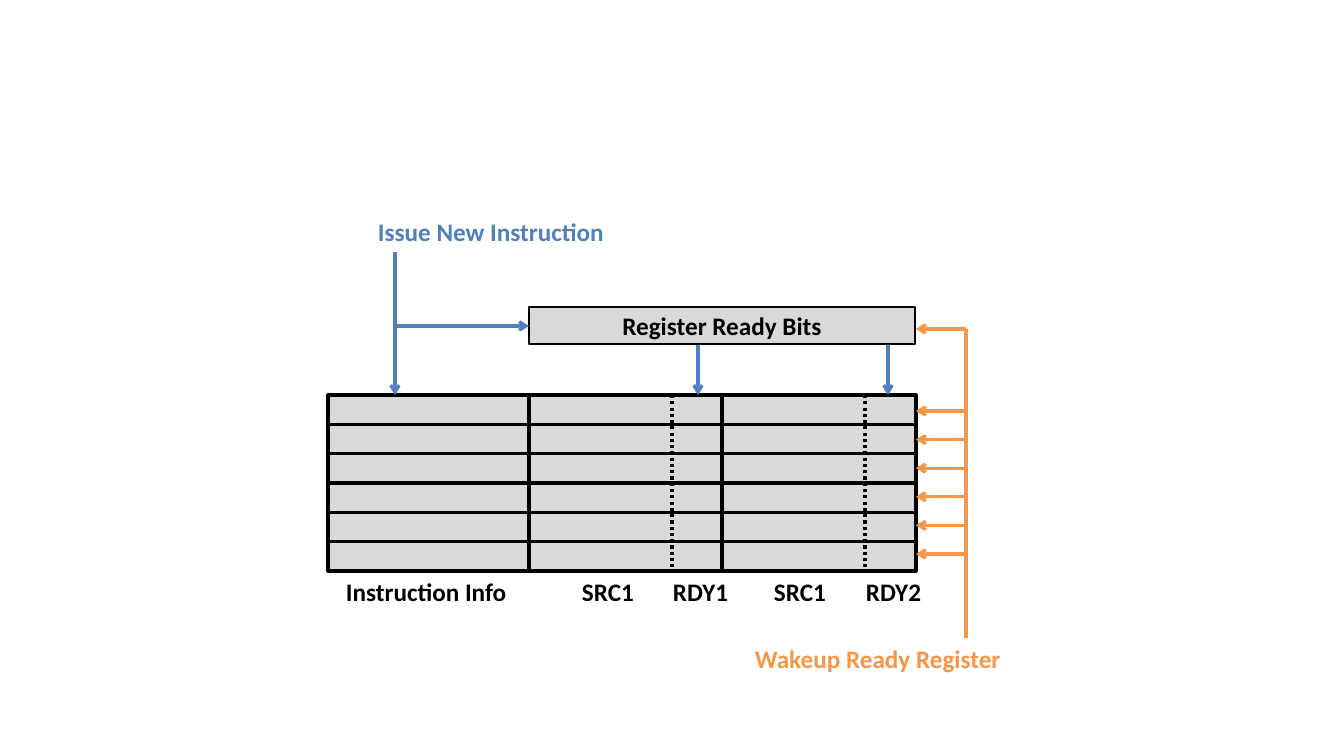
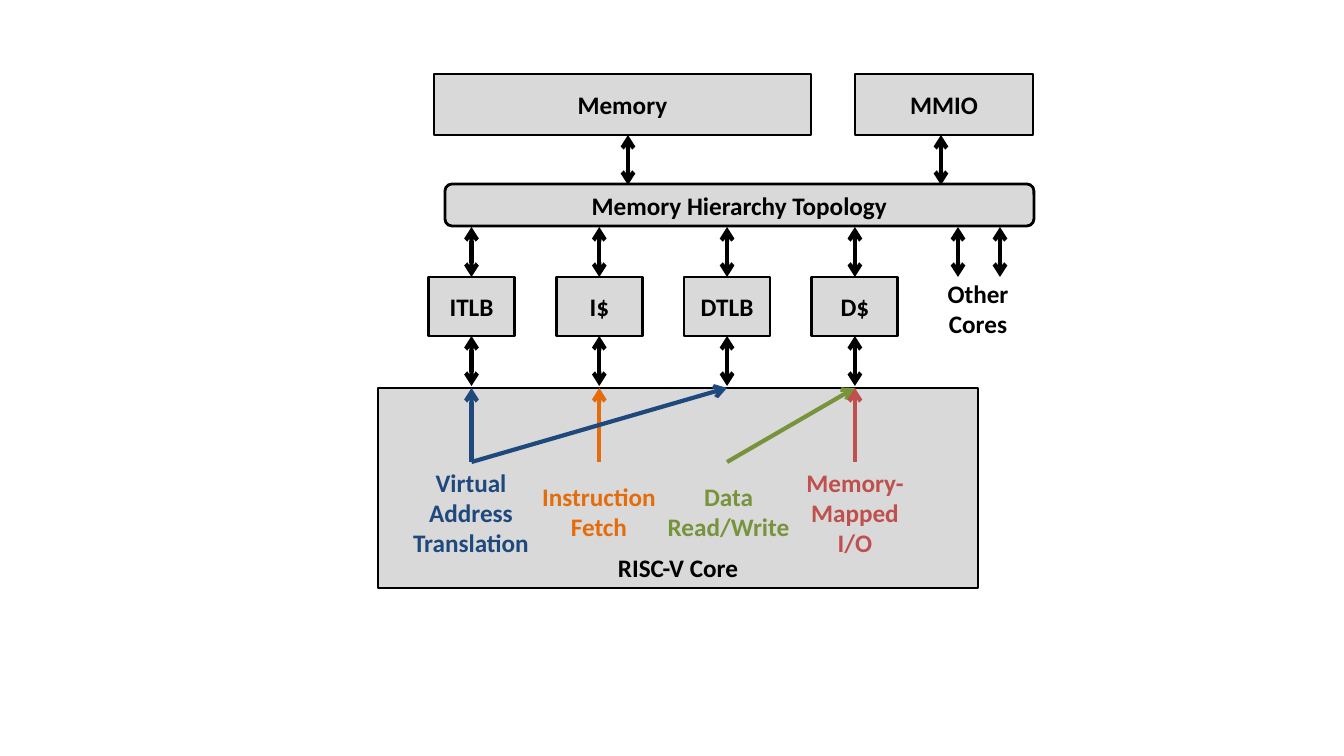
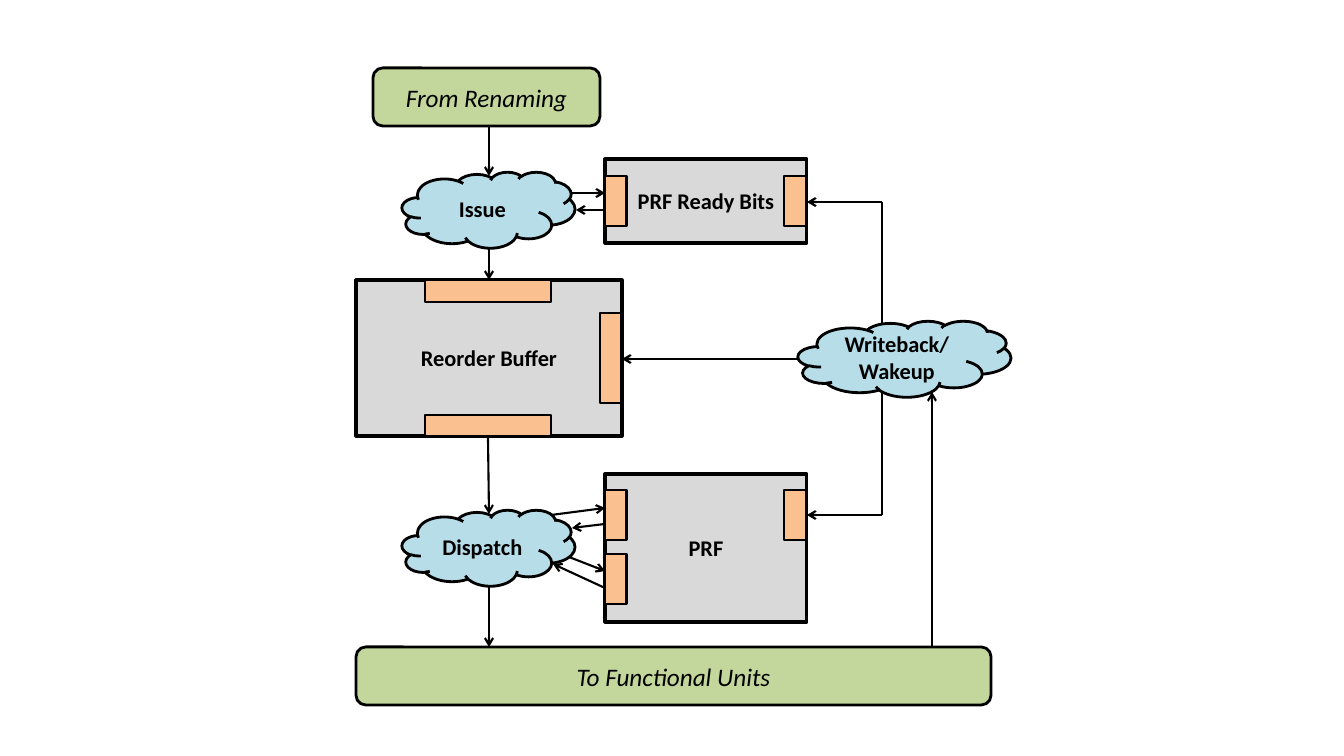
from pptx import Presentation
from pptx.dml.color import RGBColor
from pptx.enum.dml import MSO_LINE
from pptx.enum.shapes import MSO_CONNECTOR, MSO_SHAPE
from pptx.enum.text import MSO_ANCHOR, MSO_AUTO_SIZE, PP_ALIGN
from pptx.oxml.ns import qn
from pptx.util import Pt
from lxml import etree

RECTANGLE, ROUNDED, CLOUD = MSO_SHAPE.RECTANGLE, MSO_SHAPE.ROUNDED_RECTANGLE, MSO_SHAPE.CLOUD
STRAIGHT, DOTTED = MSO_CONNECTOR.STRAIGHT, MSO_LINE.ROUND_DOT
MIDDLE, BOTTOM = MSO_ANCHOR.MIDDLE, MSO_ANCHOR.BOTTOM
LEFT, CENTER = PP_ALIGN.LEFT, PP_ALIGN.CENTER
FIT_SHAPE = MSO_AUTO_SIZE.SHAPE_TO_FIT_TEXT

PIXEL = 914400 / 100.8
SLIDE_SIZE = (1344, 756)
FONT = "Calibri"
BLACK, GRAY, BLUE, ORANGE = "000000", "D9D9D9", "4F81BD", "F79646"
NAVY, RUST, OLIVE, RED = "1F497D", "E46C0A", "77933C", "C0504D"
PEACH, SKY, GREEN = "FAC090", "B7DEE8", "C3D69B"

# Issue window
WINDOW = (328, 395, 588, 176)
WINDOW_ROWS = 6
FIELD_BORDERS = [(529, None), (722, None), (865, DOTTED), (672, DOTTED)]
READY_BITS = (529, 307, 386, 37)
ISSUE_ARROWS = [
    (395, 252, 395, 395), (394, 326, 529, 326),
    (698, 345, 698, 395), (888, 345, 888, 395),
]
WAKEUP_X, WAKEUP_TIP = 966, 916
WAKEUP_TOP, WAKEUP_BOTTOM = 329, 638
WAKEUP_FIRST_ROW, WAKEUP_STEP = 411, 28.6
WINDOW_LABELS = [
    ("Instruction Info", (336, 571, 182, 40), BLACK),
    ("SRC1", (572, 571, 73, 40), BLACK),
    ("SRC1", (764, 571, 73, 40), BLACK),
    ("RDY1", (663, 571, 77, 40), BLACK),
    ("RDY2", (856, 571, 77, 40), BLACK),
    ("Wakeup Ready Register", (745, 638, 268, 40), ORANGE),
    ("Issue New Instruction", (368, 211, 248, 40), BLUE),
]

# Memory hierarchy
CORE = (378, 388, 600, 200)
CACHES = ["ITLB", "I$", "DTLB", "D$"]
CACHE_X, CACHE_STEP = 471.5, 127.8
CACHE_TOP, CACHE_WIDTH, CACHE_HEIGHT = 277, 86, 59
LINK_LENGTH = 50
MEMORY_BOXES = [
    ("Memory", RECTANGLE, (434, 74, 377, 61)),
    ("Memory Hierarchy Topology", ROUNDED, (445, 184, 589, 42)),
    ("MMIO", RECTANGLE, (855, 74, 178, 61)),
]
MEMORY_LINKS = [(628, 185), (941, 185), (958, 277), (1000, 277)]
MEMORY_LABELS = [
    ("Other Cores", (932, 273, 92, 72), BLACK),
    ("Virtual Address Translation", (401, 462, 140, 102), NAVY),
    ("Instruction Fetch", (529, 476, 140, 72), RUST),
    ("Data Read/Write", (654, 476, 149, 72), OLIVE),
    ("Memory-Mapped I/O", (785, 462, 140, 102), RED),
]
USE_TOP, USE_BOTTOM = 388, 462
USES = [(0, 0, NAVY), (1, 1, RUST), (2, 3, OLIVE), (3, 3, RED), (0, 2, NAVY)]

# Out-of-order pipeline
BUFFERS = [
    ("Reorder Buffer", (356, 280, 266, 156)),
    ("PRF Ready Bits", (605, 159, 202, 84)),
    ("PRF", (605, 474, 202, 148)),
]
PORTS = [
    (425, 280, 126, 22), (425, 415, 126, 22), (600, 313, 22, 90),
    (605, 176, 22, 50), (784, 176, 22, 50),
    (605, 490, 22, 50), (784, 490, 22, 50), (605, 554, 22, 50),
]
STAGES = [
    ("Issue", (402, 172, 173, 76)),
    ("Dispatch", (402, 510, 173, 76)),
    ("Writeback/Wakeup", (798, 321, 213, 76)),
]
ENDS = [
    ("To Functional Units", (356, 647, 635, 58)),
    ("From Renaming", (373, 68, 227, 58)),
]
PIPELINE_ARROWS = [
    (489, 126, 489, 176), (489, 248, 489, 280),
    (572, 193, 605, 193), (605, 210, 576, 210),
    (488, 436, 489, 514), (551, 515, 605, 508),
    (605, 524, 572, 528), (569, 557, 605, 571),
    (605, 588, 553, 564), (489, 586, 489, 647),
    (932, 647, 932, 392), (882, 515, 807, 515),
    (799, 359, 622, 359), (882, 202, 807, 202),
]
WRITEBACK_LINES = [(882, 392, 882, 515), (882, 202, 882, 325)]


def scaled(pixels):
    """Turn pixel lengths into EMU."""
    return [round(length * PIXEL) for length in pixels]


def rgb(color):
    """Turn a hex string into a colour."""
    return RGBColor.from_string(color)


def write(shape, text, color=BLACK, size=18, bold=True, italic=False, align=CENTER):
    """Set and format the text of a shape."""
    shape.text_frame.text = text
    paragraph = shape.text_frame.paragraphs[0]
    paragraph.alignment = align
    font = paragraph.runs[0].font
    font.name, font.size = FONT, Pt(size)
    font.bold, font.italic = bold, italic
    font.color.rgb = rgb(color)


def add_box(slide, box, fill=GRAY, kind=RECTANGLE, weight=2, text="",
            anchor=MIDDLE, **style):
    """Add an outlined shape, with text if there is any."""
    shape = slide.shapes.add_shape(kind, *scaled(box))
    shape.shadow.inherit = False
    shape.fill.solid()
    shape.fill.fore_color.rgb = rgb(fill)
    shape.line.color.rgb = rgb(BLACK)
    shape.line.width = Pt(weight)
    if text:
        write(shape, text, **style)
        shape.text_frame.vertical_anchor = anchor


def add_label(slide, text, box, color, align, wrap):
    """Add a bold text box."""
    label = slide.shapes.add_textbox(*scaled(box))
    write(label, text, color, align=align)
    label.text_frame.word_wrap = wrap
    label.text_frame.auto_size = FIT_SHAPE


def add_line(slide, ends, color=BLACK, weight=2.25, arrows=(), dash=None):
    """Add a straight line; arrows names the ends that carry an arrowhead."""
    connector = slide.shapes.add_connector(STRAIGHT, *scaled(ends))
    connector.line.color.rgb = rgb(color)
    connector.line.width = Pt(weight)
    if dash:
        connector.line.dash_style = dash
    properties = connector.element.spPr
    outline = properties.find(qn("a:ln"))
    for end in arrows:
        etree.SubElement(outline, qn("a:" + end), type="arrow")
    etree.SubElement(properties, qn("a:effectLst"))


def add_arrow(slide, ends, color=BLACK, weight=2.25):
    """Add a line with an arrowhead at its far end."""
    add_line(slide, ends, color, weight, ["tailEnd"])


def add_link(slide, x, bottom):
    """Add a vertical double arrow that ends at the given bottom."""
    add_line(slide, (x, bottom, x, bottom - LINK_LENGTH), weight=3,
             arrows=["headEnd", "tailEnd"])


def build_issue_window(slide):
    """Draw the issue window with its issue and wakeup paths."""
    left, top, width, height = WINDOW
    add_box(slide, WINDOW, weight=2.25)
    for x, dash in FIELD_BORDERS:
        add_line(slide, (x, top, x, top + height), dash=dash)
    for row in range(1, WINDOW_ROWS):
        y = top + row * height / WINDOW_ROWS
        add_line(slide, (left, y, left + width, y))
    add_box(slide, READY_BITS, text="Register Ready Bits")
    for ends in ISSUE_ARROWS:
        add_arrow(slide, ends, BLUE)
    rows = [WAKEUP_FIRST_ROW + row * WAKEUP_STEP for row in range(WINDOW_ROWS)]
    for y in rows + [WAKEUP_TOP]:
        add_arrow(slide, (WAKEUP_X, y, WAKEUP_TIP, y), ORANGE)
    add_line(slide, (WAKEUP_X, WAKEUP_TOP, WAKEUP_X, WAKEUP_BOTTOM), ORANGE)
    for text, box, color in WINDOW_LABELS:
        add_label(slide, text, box, color, LEFT, False)


def build_memory_hierarchy(slide):
    """Draw the core, its caches and the memory above them."""
    add_box(slide, CORE, text="RISC-V Core", anchor=BOTTOM)
    for text, kind, box in MEMORY_BOXES:
        add_box(slide, box, kind=kind, text=text)
    centers = [CACHE_X + column * CACHE_STEP for column in range(len(CACHES))]
    for text, x in zip(CACHES, centers):
        box = (x - CACHE_WIDTH / 2, CACHE_TOP, CACHE_WIDTH, CACHE_HEIGHT)
        add_box(slide, box, text=text)
        add_link(slide, x, CACHE_TOP)
        add_link(slide, x, CACHE_TOP + CACHE_HEIGHT + LINK_LENGTH)
    for x, bottom in MEMORY_LINKS:
        add_link(slide, x, bottom)
    for text, box, color in MEMORY_LABELS:
        add_label(slide, text, box, color, CENTER, True)
    for start, end, color in USES:
        add_arrow(slide, (centers[start], USE_BOTTOM, centers[end], USE_TOP), color, 3)


def build_pipeline(slide):
    """Draw the stages, buffers and ports from renaming to the units."""
    for text, box in BUFFERS:
        add_box(slide, box, weight=2.25, text=text, size=16)
    for box in PORTS:
        add_box(slide, box, PEACH)
    for text, box in STAGES:
        add_box(slide, box, SKY, CLOUD, text=text, size=16)
    for ends in PIPELINE_ARROWS:
        add_arrow(slide, ends, weight=1.5)
    for ends in WRITEBACK_LINES:
        add_line(slide, ends, weight=1.5)
    for text, box in ENDS:
        add_box(slide, box, GREEN, ROUNDED, text=text, bold=False, italic=True)


presentation = Presentation()
presentation.slide_width, presentation.slide_height = scaled(SLIDE_SIZE)
blank_layout = presentation.slide_layouts.get_by_name("Blank")
for build in (build_issue_window, build_memory_hierarchy, build_pipeline):
    build(presentation.slides.add_slide(blank_layout))
presentation.save("out.pptx")
